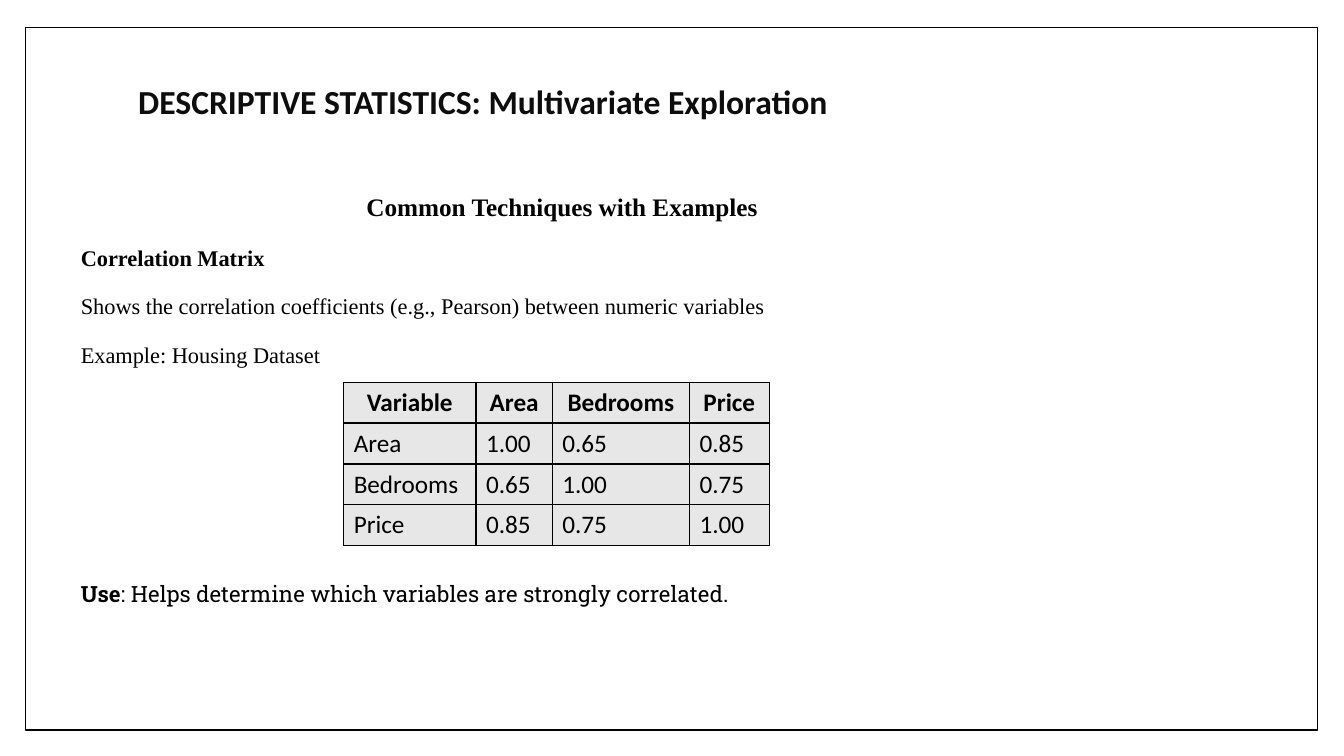
from lxml.etree import SubElement
from pptx import Presentation
from pptx.dml.color import RGBColor
from pptx.enum.shapes import MSO_SHAPE as Shape
from pptx.enum.text import MSO_ANCHOR as Anchor, MSO_AUTO_SIZE as Auto, PP_ALIGN as Align
from pptx.oxml.ns import qn
from pptx.util import Pt

BLACK = "000000"
GREY = "E7E7E7"
SERIF = "Times New Roman"
ROWS = [
    ["Variable", "Area", "Bedrooms", "Price"],
    ["Area", "1.00", "0.65", "0.85"],
    ["Bedrooms", "0.65", "1.00", "0.75"],
    ["Price", "0.85", "0.75", "1.00"],
]
WIDTHS = [94.5, 54.5, 98, 57]
ROW_H = 29


def color(code):
    return RGBColor.from_string(code)


def place(shape, left, top, width, height):
    shape.left, shape.top = Pt(left), Pt(top)
    shape.width, shape.height = Pt(width), Pt(height)


def style(font, name, size, bold=False, code=BLACK):
    font.name, font.size, font.bold = name, Pt(size), bold
    font.color.rgb = color(code)


def add_frame(slide):
    """Draw the border box behind everything else."""
    frame = slide.shapes.add_shape(Shape.RECTANGLE, Pt(18), Pt(19.5), Pt(923), Pt(502))
    frame.shadow.inherit = False
    frame.fill.solid()
    frame.fill.fore_color.rgb = color("FFFFFF")
    frame.line.color.rgb = color(BLACK)
    frame.line.width = Pt(1)
    slide.shapes[0].element.addprevious(frame.element)


def set_title(title, text):
    place(title, 91.5, 48, 778, 49)
    box = title.text_frame
    box.text = text
    box.auto_size = Auto.NONE
    box.vertical_anchor = Anchor.MIDDLE
    para = box.paragraphs[0]
    para.alignment = Align.LEFT
    style(para.runs[0].font, "Calibri", 24, True, "0D0D0D")


def add_line(box, parts, size=16, name=SERIF, align=Align.JUSTIFY, before=2):
    """Add a body paragraph made of (text, bold) parts."""
    first = not box.text
    para = box.paragraphs[0] if first else box.add_paragraph()
    props = para._p.get_or_add_pPr()
    props.set("marL", str(Pt(6.5)))
    props.set("indent", "0")
    SubElement(props, qn("a:buNone"))
    para.alignment = align
    para.line_spacing = 1.5
    para.space_before = Pt(0 if first else before)
    para.space_after = Pt(4)
    for text, bold in parts:
        run = para.add_run()
        run.text = text
        style(run.font, name, size, bold)


def fill_body(body):
    place(body, 44, 122.5, 708.5, 348.5)
    box = body.text_frame
    box.auto_size = Auto.NONE
    add_line(box, [("Common Techniques with Examples", True)], 18, align=Align.CENTER)
    add_line(box, [("Correlation Matrix", True)])
    add_line(box, [("Shows the correlation coefficients (e.g., Pearson) "
                    "between numeric variables", False)])
    add_line(box, [("Example: Housing Dataset", False)])
    add_line(box, [("Use", True),
                   (": Helps determine which variables are strongly correlated.", False)],
             name="Roboto Slab", before=138)


def add_border(cell):
    props = cell._tc.get_or_add_tcPr()
    for i, side in enumerate(("a:lnL", "a:lnR", "a:lnT", "a:lnB")):
        line = props.makeelement(qn(side), {"w": str(Pt(1))})
        fill = SubElement(line, qn("a:solidFill"))
        SubElement(fill, qn("a:srgbClr"), val=BLACK)
        props.insert(i, line)


def add_matrix(slide):
    table = slide.shapes.add_table(len(ROWS), len(WIDTHS), Pt(245.5), Pt(273),
                                   Pt(sum(WIDTHS)), Pt(ROW_H * len(ROWS))).table
    for col, width in zip(table.columns, WIDTHS):
        col.width = Pt(width)
    for r, row in enumerate(ROWS):
        table.rows[r].height = Pt(ROW_H)
        for c, text in enumerate(row):
            cell = table.cell(r, c)
            cell.text = text
            cell.vertical_anchor = Anchor.MIDDLE
            cell.fill.solid()
            cell.fill.fore_color.rgb = color(GREY)
            add_border(cell)
            para = cell.text_frame.paragraphs[0]
            para.alignment = Align.LEFT if r else Align.CENTER
            style(para.runs[0].font, "Calibri", 18, r == 0)


def main():
    deck = Presentation()
    deck.slide_width, deck.slide_height = Pt(960), Pt(540)
    slide = deck.slides.add_slide(deck.slide_layouts[1])
    title, body = slide.placeholders
    add_frame(slide)
    set_title(title, "DESCRIPTIVE STATISTICS: Multivariate Exploration")
    fill_body(body)
    add_matrix(slide)
    deck.save("out.pptx")


if __name__ == "__main__":
    main()
